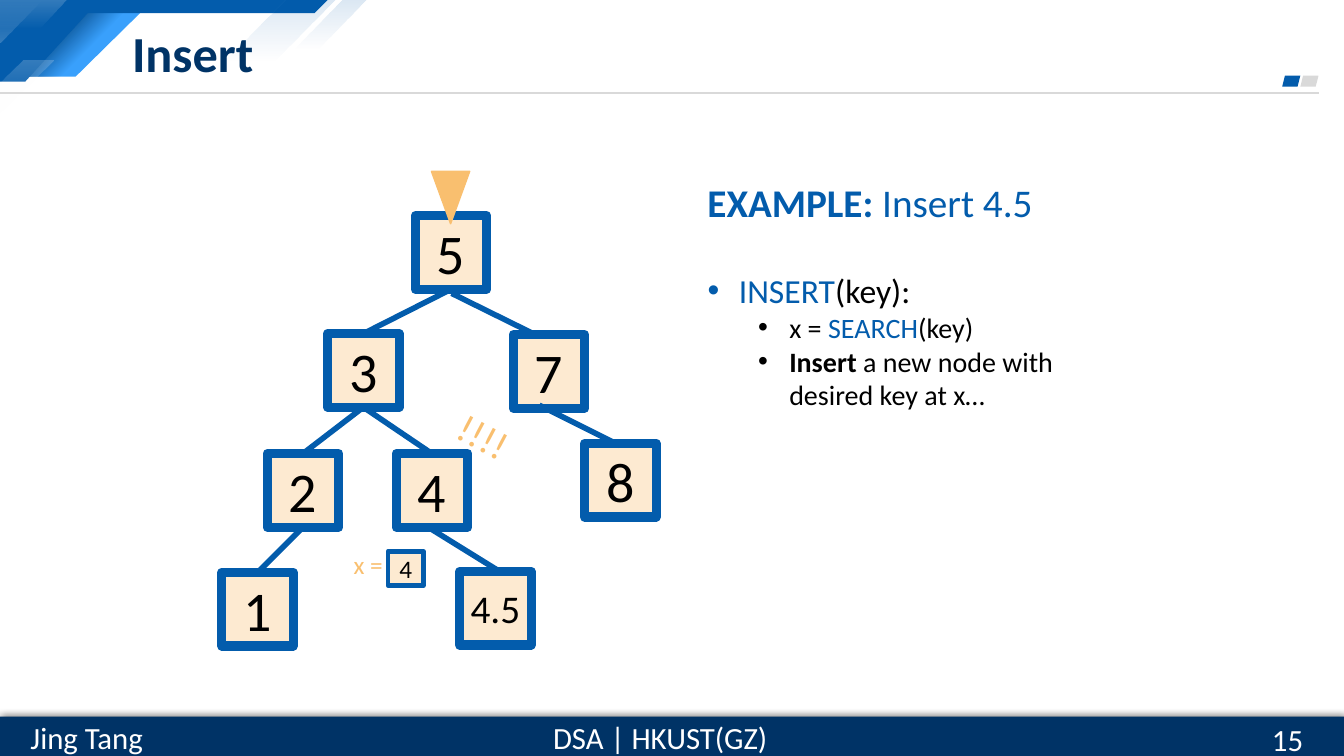
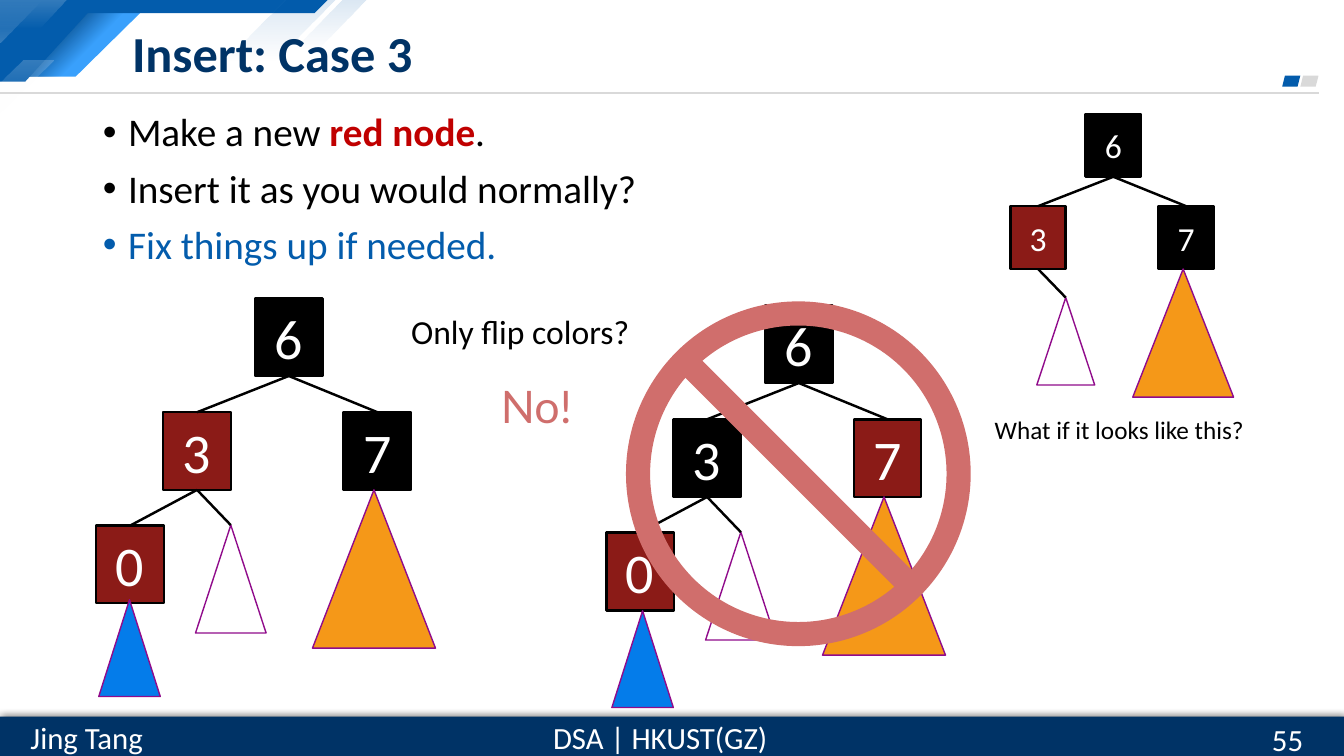
from dataclasses import dataclass

from lxml.etree import SubElement
from pptx import Presentation
from pptx.dml.color import RGBColor
from pptx.enum.shapes import MSO_CONNECTOR, MSO_SHAPE
from pptx.enum.text import MSO_ANCHOR, MSO_AUTO_SIZE, PP_ALIGN
from pptx.oxml.ns import qn
from pptx.util import Inches, Pt

NAVY = RGBColor(0x00, 0x33, 0x66)
BLUE = RGBColor(0x03, 0x5C, 0xAC)
DEEP_BLUE = RGBColor(0x02, 0x45, 0x81)
SKY = RGBColor(0x39, 0xA0, 0xFC)
SUBTREE_BLUE = RGBColor(0x04, 0x7C, 0xEA)
WHITE = RGBColor(0xFF, 0xFF, 0xFF)
BLACK = RGBColor(0x00, 0x00, 0x00)
GREY = RGBColor(0xD9, 0xD9, 0xD9)
CREAM = RGBColor(0xFD, 0xEA, 0xD1)
APRICOT = RGBColor(0xF9, 0xBF, 0x6F)
ORANGE = RGBColor(0xF5, 0x98, 0x18)
PURPLE = RGBColor(0x90, 0x0B, 0x8B)
RED = RGBColor(0xC0, 0x00, 0x00)
NODE_RED = RGBColor(0x8B, 0x1B, 0x17)
BAN_RED = RGBColor(0xD0, 0x6E, 0x6C)
NO_RED = RGBColor(0xCF, 0x6E, 0x6C)

COLUMNS, ROWS = 133.33, 75
CELL = Inches(0.1)


def cells(count: float) -> int:
    return round(count * CELL)


@dataclass(frozen=True)
class Box:
    left: float
    top: float
    width: float
    height: float

    def lengths(self) -> tuple:
        return tuple(map(cells, (self.left, self.top, self.width, self.height)))


@dataclass(frozen=True)
class Node:
    key: str
    left: float
    top: float
    size: int = 40


@dataclass(frozen=True)
class Bullet:
    runs: tuple
    size: int
    margin: float
    hanging: float
    level: int = 0


@dataclass(frozen=True)
class RedBlackTree:
    left: float
    top: float
    size: int
    left_fill: RGBColor
    right_fill: RGBColor
    x_scale: float = 1
    y_scale: float = 1
    has_zero: bool = True

    def box(self, dx, dy, width, height) -> Box:
        return Box(self.left + dx * self.x_scale, self.top + dy * self.y_scale,
                   width * self.x_scale, height * self.y_scale)


def write(paragraph, text, *, size, color=BLACK, bold=False, font="Calibri", align=None):
    run = paragraph.add_run()
    run.text = text
    run.font.size = Pt(size)
    run.font.name = font
    run.font.bold = bold
    run.font.color.rgb = color
    if align is not None:
        paragraph.alignment = align


def add_label(slide, box: Box, *texts, anchor=MSO_ANCHOR.TOP, rotation=0, **style):
    label = slide.shapes.add_textbox(*box.lengths())
    label.rotation = rotation
    frame = label.text_frame
    frame.word_wrap = True
    frame.vertical_anchor = anchor
    for index, text in enumerate(texts):
        style["bold"] = len(texts) > 1 and index == 0
        write(frame.paragraphs[0], text, **style)


def paint(shape, fill, line=None, weight=1.0):
    shape.shadow.inherit = False
    shape.fill.solid()
    shape.fill.fore_color.rgb = fill
    if line is None:
        shape.line.fill.background()
    else:
        shape.line.color.rgb = line
        shape.line.width = Pt(weight)
    return shape


def add_figure(slide, preset, box: Box, fill, line=None, weight=1.0):
    return paint(slide.shapes.add_shape(preset, *box.lengths()), fill, line, weight)


def add_outline(slide, points, fill):
    start, *rest = [tuple(map(cells, point)) for point in points]
    builder = slide.shapes.build_freeform(*start, scale=1.0)
    builder.add_line_segments(rest, close=True)
    return paint(builder.convert_to_shape(), fill)


def add_node(slide, box: Box, key, fill, line, weight, size, color):
    node = add_figure(slide, MSO_SHAPE.RECTANGLE, box, fill, line, weight)
    frame = node.text_frame
    frame.word_wrap = False
    frame.vertical_anchor = MSO_ANCHOR.MIDDLE
    write(frame.paragraphs[0], key, size=size, color=color, align=PP_ALIGN.CENTER)
    return node


def add_line(slide, start, end, color, weight):
    line = slide.shapes.add_connector(MSO_CONNECTOR.STRAIGHT, *map(cells, start + end))
    line.line.color.rgb = color
    line.line.width = Pt(weight)
    SubElement(line.element.spPr, qn("a:effectLst"))
    return line


def add_branch(slide, parent, child, color, weight):
    branch = add_line(slide, (0, 0), (0, 0), color, weight)
    branch.begin_connect(parent, 2)
    branch.end_connect(child, 0)


def add_alpha(parent, color, percent):
    tint = SubElement(parent, qn("a:srgbClr"), val=str(color))
    SubElement(tint, qn("a:alpha"), val=str(percent * 1000))


def fade(shape, color, opacity, angle=90, start=0, end=100):
    properties = shape.element.spPr
    solid = properties.find(qn("a:solidFill"))
    gradient = SubElement(properties, qn("a:gradFill"), rotWithShape="1")
    properties.replace(solid, gradient)
    stops = SubElement(gradient, qn("a:gsLst"))
    for position, percent in ((start, opacity), (end, 0)):
        add_alpha(SubElement(stops, qn("a:gs"), pos=str(position * 1000)), color, percent)
    SubElement(gradient, qn("a:lin"), ang=str(angle * 60000), scaled="0")


def flip(shape):
    shape.element.spPr.find(qn("a:xfrm")).set("flipV", "1")


def draw_backdrop(slide):
    ribbon = ((8.4, 0.7), (14.5, 0.7), (7.5, 7.6), (1.6, 7.6))
    add_outline(slide, ribbon, SKY)
    fade(add_outline(slide, ribbon, DEEP_BLUE), DEEP_BLUE, 100, 45, 29, 57)
    add_outline(slide, ((0, 0), (32.5, 0), (31.2, 1.3), (8.7, 1.3), (2.5, 8.1), (0, 8.1)), BLUE)
    corner = add_figure(slide, MSO_SHAPE.RIGHT_TRIANGLE, Box(0, 0, 4.2, 4.2), WHITE)
    flip(corner)
    fade(corner, WHITE, 20)
    for points, color, opacity in (
        (((0, 0), (6.6, 0), (3.9, 2.8), (0, 2.8)), WHITE, 20),
        (((28.4, 0), (33.3, 0), (27.2, 6.1), (22.2, 6.1)), BLUE, 15),
        (((34, 0), (36.4, 0), (31.5, 4.9), (29.1, 4.9)), BLUE, 15),
        (((2.3, 6), (5.3, 6), (0, 11.3), (0, 8.3)), WHITE, 20),
    ):
        fade(add_outline(slide, points, color), color, opacity)
    add_line(slide, (0, 9.2), (130.9, 9.2), GREY, 1.5)
    for left, color in ((129, GREY), (127.2, BLUE)):
        add_figure(slide, MSO_SHAPE.PARALLELOGRAM, Box(left, 7.5, 1.8, 1.1), color)
    footer = add_figure(slide, MSO_SHAPE.RECTANGLE, Box(0, 71.1, COLUMNS, 3.9), NAVY)
    flip(footer)
    effects = footer.element.spPr.find(qn("a:effectLst"))
    shadow = SubElement(effects, qn("a:outerShdw"), blurRad=str(Pt(4.5)), dist=str(Pt(1.5)),
                        dir="16200000", rotWithShape="0")
    add_alpha(shadow, BLACK, 63)
    for text, left, width in (("DSA | HKUST(GZ)", 53.6, 23.8), ("Jing Tang", 1.6, 14)):
        add_label(slide, Box(left, 70.8, width, 4.7), text, anchor=MSO_ANCHOR.MIDDLE,
                  size=22, color=WHITE, align=PP_ALIGN.CENTER)


def move_to_master(slide, master):
    drawn = [shape for shape in slide.shapes if not shape.is_placeholder]
    for number, shape in enumerate(drawn, start=100):
        shape.element.xpath(".//p:cNvPr")[0].set("id", str(number))
        master.shapes.element.append(shape.element)


def place(placeholder, box: Box, anchor):
    placeholder.left, placeholder.top, placeholder.width, placeholder.height = box.lengths()
    frame = placeholder.text_frame
    frame.word_wrap = True
    frame.auto_size = MSO_AUTO_SIZE.NONE
    frame.vertical_anchor = anchor
    return frame


def add_heading(slide, title, number):
    frame = place(slide.shapes.title, Box(12.1, 1.7, 102.1, 6.9), MSO_ANCHOR.MIDDLE)
    write(frame.paragraphs[0], title, size=36, color=NAVY, bold=True, align=PP_ALIGN.LEFT)
    add_label(slide, Box(125.2, 71.3, 8.1, 4), number, anchor=MSO_ANCHOR.MIDDLE,
              size=22, color=WHITE)


def fill_list(slide, box: Box, bullets, spacing=1.0, gap=0):
    frame = place(slide.placeholders[1], box, MSO_ANCHOR.TOP)
    for index, bullet in enumerate(bullets):
        paragraph = frame.add_paragraph() if index else frame.paragraphs[0]
        paragraph.level = bullet.level
        paragraph.line_spacing = spacing
        paragraph.space_before = Pt(gap if index else 0)
        paragraph.space_after = Pt(0)
        properties = paragraph._p.get_or_add_pPr()
        properties.set("marL", str(cells(bullet.margin)))
        properties.set("indent", str(-cells(bullet.hanging)))
        SubElement(properties, qn("a:buFont"), typeface="Arial")
        SubElement(properties, qn("a:buChar"), char="•")
        for text, color, bold in bullet.runs:
            write(paragraph, text, size=bullet.size, color=color, bold=bold)


def draw_search_tree(slide):
    nodes = {}
    for node in (Node("4", 39.3, 45), Node("2", 26.5, 45), Node("8", 58, 44),
                 Node("7", 50.9, 33.2), Node("1", 22, 56.8), Node("3", 32.5, 33.1),
                 Node("5", 41.2, 21.4), Node("4.5", 45.6, 56.7, 28)):
        nodes[node.key] = add_node(slide, Box(node.left, node.top, 7.1, 7.3), node.key,
                                   CREAM, BLUE, 6.5, node.size, BLACK)
    for parent, child in ("53", "34", "32", "21"):
        add_branch(slide, nodes[parent], nodes[child], BLUE, 4)
    for start, end in (((44.8, 29.1), (52.7, 33)), ((53.5, 40.2), (61.5, 44.2)),
                       ((42.8, 52.5), (49.9, 56.9))):
        add_line(slide, start, end, BLUE, 4)


def add_subtree(slide, box: Box, fill):
    return add_figure(slide, MSO_SHAPE.ISOSCELES_TRIANGLE, box, fill, PURPLE)


def draw_red_black_tree(slide, tree: RedBlackTree):
    def node(key, dx, dy, fill):
        return add_node(slide, tree.box(dx, dy, 6.7, 7.7), key, fill, BLACK, 1.75,
                        tree.size, WHITE)

    root = node("6", 0, 0, BLACK)
    left = node("3", -9.1, 11.3, tree.left_fill)
    right = node("7", 8.8, 11.3, tree.right_fill)
    add_subtree(slide, tree.box(5.7, 19, 12.2, 15.7), ORANGE)
    inner = add_subtree(slide, tree.box(-5.9, 22.5, 7, 10.7), WHITE)
    branches = [(root, left), (root, right), (left, inner)]
    if tree.has_zero:
        branches.append((left, node("0", -15.75, 22.55, NODE_RED)))
    for parent, child in branches:
        add_branch(slide, parent, child, BLACK, 1.75)


def fill_insert(slide):
    add_heading(slide, "Insert", "15")
    draw_search_tree(slide)
    add_label(slide, Box(69.2, 17.2, 43.6, 5.7), "EXAMPLE: ", "Insert 4.5", size=28, color=BLUE)
    pointer = add_figure(slide, MSO_SHAPE.ISOSCELES_TRIANGLE, Box(42.8, 17, 3.8, 5.2),
                         APRICOT, APRICOT)
    pointer.rotation = 180
    fill_list(slide, Box(69.2, 26.3, 43.1, 21.5), (
        Bullet((("INSERT", BLUE, False), ("(key):", BLACK, False)), 24, 3.1, 3.1),
        Bullet((("x = ", BLACK, False), ("SEARCH", BLUE, False), ("(key)", BLACK, False)),
               20, 8.1, 3.1, 1),
        Bullet((("Insert ", BLACK, True), ("a new node with desired key at x…", BLACK, False)),
               20, 8.1, 3.1, 1),
    ))
    add_label(slide, Box(44.3, 41, 9.7, 5.7), "!!!!", rotation=27.8, size=28, color=APRICOT)
    add_label(slide, Box(34.1, 54, 7, 4), "x =", size=18, color=APRICOT)
    add_node(slide, Box(38.5, 54.7, 3.5, 3.4), "4", CREAM, BLUE, 3.25, 18, BLACK)


def fill_case_three(slide):
    add_heading(slide, "Insert: Case 3", "55")
    steps = (
        (("Make a new ", BLACK, False), ("red node", RED, True), (".", BLACK, False)),
        (("Insert it as you would normally?", BLACK, False),),
        (("Fix things up if needed.", BLUE, False),),
    )
    fill_list(slide, Box(9.2, 10.7, 115, 51.2),
              [Bullet(runs, 28, 2.5, 2.5) for runs in steps], spacing=0.9, gap=10)
    for tree in (
        RedBlackTree(107.7, 11.3, 24, NODE_RED, BLACK, 0.82, 0.81, False),
        RedBlackTree(25.3, 29.6, 40, NODE_RED, BLACK),
        RedBlackTree(75.9, 30.3, 40, BLACK, NODE_RED),
    ):
        draw_red_black_tree(slide, tree)
    add_label(slide, Box(97.7, 40.6, 31.6, 4), "What if it looks like this?", size=18)
    add_label(slide, Box(48.7, 37.1, 17.1, 6.4), "No!", size=32, color=NO_RED, font="Lato")
    add_label(slide, Box(39.8, 30.4, 29.8, 5), "Only flip colors?", size=24)
    ban = add_figure(slide, MSO_SHAPE.NO_SYMBOL, Box(62.1, 29.9, 34.2, 34.2), BAN_RED)
    ban.adjustments[0] = 0.07
    for left, top in ((9.8, 59.5), (60.7, 60.6)):
        add_subtree(slide, Box(left, top, 6.1, 9.6), SUBTREE_BLUE)


def main():
    deck = Presentation()
    deck.slide_width, deck.slide_height = cells(COLUMNS), cells(ROWS)
    layout = deck.slide_layouts[1]
    insert, case_three = (deck.slides.add_slide(layout) for _ in range(2))
    draw_backdrop(insert)
    move_to_master(insert, deck.slide_master)
    fill_insert(insert)
    fill_case_three(case_three)
    deck.save("out.pptx")


if __name__ == "__main__":
    main()
